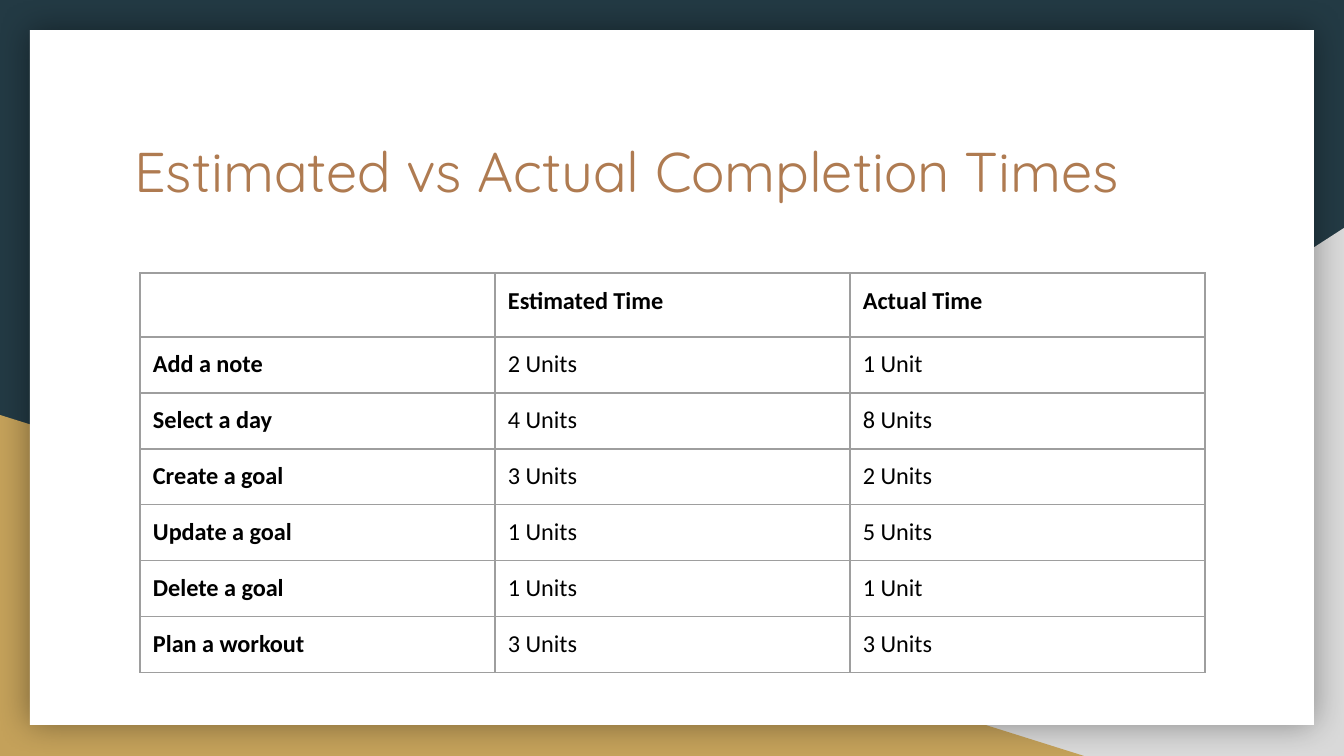
from lxml.etree import SubElement
from pptx import Presentation
from pptx.dml.color import RGBColor
from pptx.enum.shapes import MSO_SHAPE
from pptx.oxml import parse_xml
from pptx.oxml.ns import nsdecls, qn
from pptx.util import Emu, Pt

EMU_PER_PX = 914400 / 134.4
INSET = 13
HEADER = ["", "Estimated Time", "Actual Time"]
TASKS = [
    ["Add a note", "2 Units", "1 Unit"],
    ["Select a day", "4 Units", "8 Units"],
    ["Create a goal", "3 Units", "2 Units"],
    ["Update a goal", "1 Units", "5 Units"],
    ["Delete a goal", "1 Units", "1 Unit"],
    ["Plan a workout", "3 Units", "3 Units"],
]


def px(length):
    return Emu(round(length * EMU_PER_PX))


def box(*lengths):
    return [px(length) for length in lengths]


def color(hex_value):
    return RGBColor.from_string(hex_value)


def set_font(paragraph, name, size, hex_value, bold=False):
    font = paragraph.font
    font.name, font.size, font.bold = name, Pt(size), bold
    font.color.rgb = color(hex_value)


def set_margins(holder):
    """Give a text frame or a table cell the same inset on each side."""
    holder.margin_left = holder.margin_right = px(INSET)
    holder.margin_top = holder.margin_bottom = px(INSET)


def add_panel(slide, kind, bounds, fill):
    panel = slide.shapes.add_shape(kind, *box(*bounds))
    panel.shadow.inherit = False
    panel.fill.solid()
    panel.fill.fore_color.rgb = color(fill)
    panel.line.fill.background()
    return panel


def add_glow_shadow(panel):
    """Put a soft, centred shadow all around the panel."""
    effects = panel._element.spPr.find(qn("a:effectLst"))
    effects.append(parse_xml(
        f'<a:outerShdw {nsdecls("a")} blurRad="{Pt(18)}" dist="0" dir="0" '
        'algn="ctr" rotWithShape="0"><a:srgbClr val="000000">'
        '<a:alpha val="40000"/></a:srgbClr></a:outerShdw>'))


def add_title(slide, text):
    frame = slide.shapes.add_textbox(*box(121, 124, 1103, 140)).text_frame
    frame.word_wrap = True
    set_margins(frame)
    frame.text = text
    set_font(frame.paragraphs[0], "Quicksand", 30, "AF7B51")


def add_borders(cell, hex_value, width):
    properties = cell._tc.get_or_add_tcPr()
    for position, side in enumerate(("a:lnL", "a:lnR", "a:lnT", "a:lnB")):
        border = SubElement(properties, qn(side), w=str(Pt(width)))
        fill = SubElement(border, qn("a:solidFill"))
        SubElement(fill, qn("a:srgbClr"), val=hex_value)
        properties.insert(position, border)


def add_times_table(slide):
    rows = [HEADER, *TASKS]
    column_width, header_height, task_height = 355, 64, 56
    height = header_height + task_height * len(TASKS)
    table = slide.shapes.add_table(
        len(rows), len(HEADER),
        *box(140, 273, column_width * len(HEADER), height)).table
    table.first_row = table.horz_banding = False
    for column in table.columns:
        column.width = px(column_width)
    for row_index, row in enumerate(rows):
        table.rows[row_index].height = px(task_height if row_index else header_height)
        for column_index, text in enumerate(row):
            cell = table.cell(row_index, column_index)
            cell.fill.background()
            add_borders(cell, "9E9E9E", 0.75)
            set_margins(cell)
            if text:
                cell.text = text
                is_heading = row_index == 0 or column_index == 0
                set_font(cell.text_frame.paragraphs[0], "Calibri", 13, "000000", is_heading)
            else:
                cell.margin_top = cell.margin_bottom = 0


def main():
    deck = Presentation()
    deck.slide_width, deck.slide_height = box(1344, 756)
    slide = deck.slides.add_slide(deck.slide_layouts[6])
    slide.background.fill.solid()
    slide.background.fill.fore_color.rgb = color("233A44")

    gray_corner = add_panel(slide, MSO_SHAPE.RIGHT_TRIANGLE, (527, 228, 817, 528), "D9D9D9")
    gray_corner._element.spPr.xfrm.set("flipH", "1")
    add_panel(slide, MSO_SHAPE.RIGHT_TRIANGLE, (0, 415, 1084, 341), "C4A15A")
    sheet = add_panel(slide, MSO_SHAPE.RECTANGLE, (30, 30, 1284, 695), "FFFFFF")
    add_glow_shadow(sheet)

    add_title(slide, "Estimated vs Actual Completion Times")
    add_times_table(slide)
    deck.save("out.pptx")


if __name__ == "__main__":
    main()
